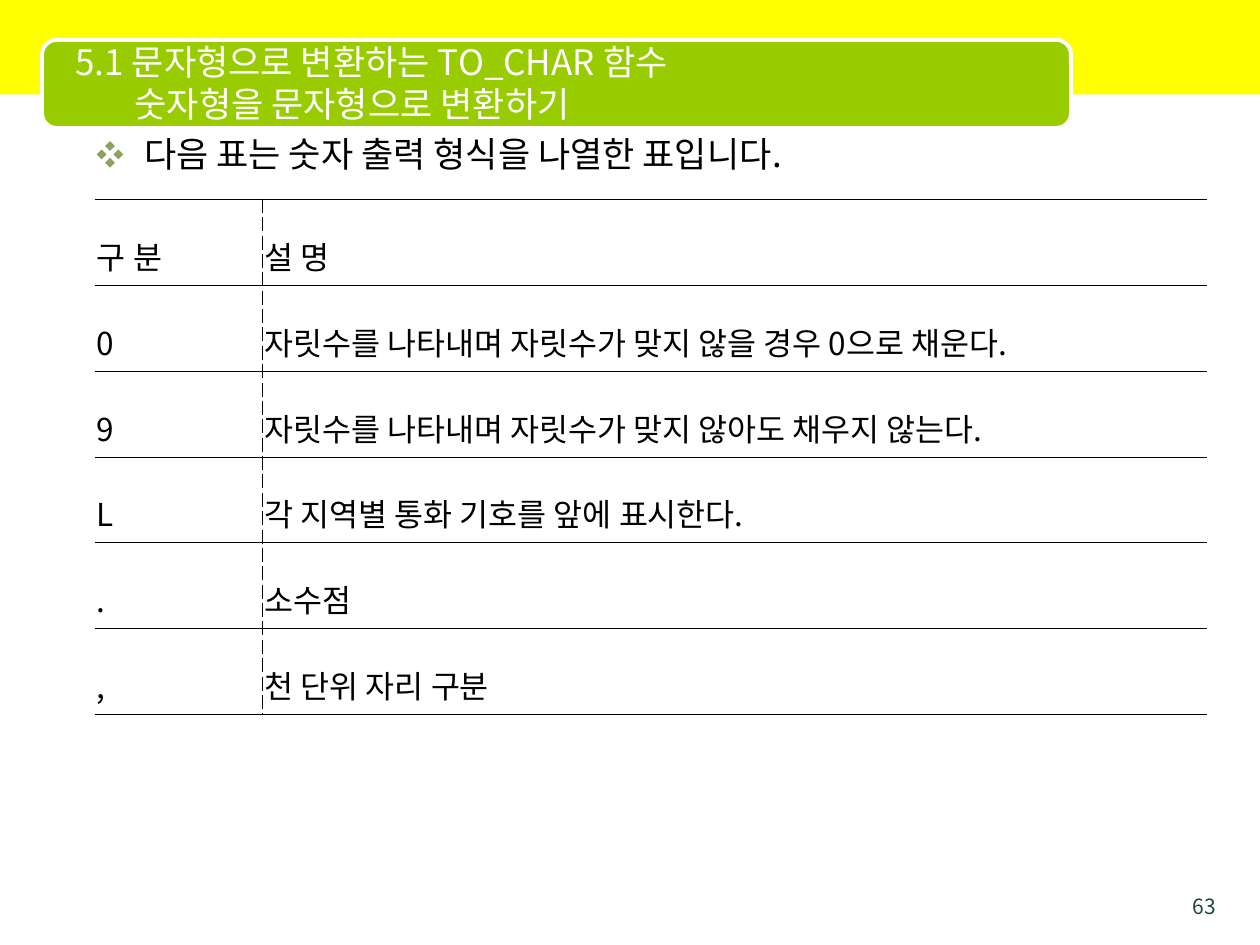
from pptx import Presentation
from pptx.dml.color import RGBColor
from pptx.enum.shapes import MSO_SHAPE
from pptx.enum.text import MSO_ANCHOR, PP_ALIGN
from pptx.oxml.ns import qn
from pptx.util import Inches, Pt
from lxml.etree import SubElement

COLORS = {
    "band": "FFFF00", "card": "99CC00", "white": "FFFFFF",
    "black": "000000", "bullet": "8CA35F", "number": "1D4940",
}
FONT = "Noto Sans CJK KR"
UNITS_PER_INCH = 12
HAIRLINE, DIVIDER, HEADER_RULE = 0.11, 0.28, 0.96

FORMATS = [
    ("구 분", "설 명"),
    ("0", "자릿수를 나타내며 자릿수가 맞지 않을 경우 0으로 채운다."),
    ("9", "자릿수를 나타내며 자릿수가 맞지 않아도 채우지 않는다."),
    ("L", "각 지역별 통화 기호를 앞에 표시한다."),
    (".", "소수점"),
    (",", "천 단위 자리 구분"),
]


def grid(*units):
    """Convert grid units to slide lengths."""
    return [Inches(unit / UNITS_PER_INCH) for unit in units]


def write(paragraph, text, size=20, color="black", align=PP_ALIGN.LEFT,
          spacing=1.0, indent=0, hanging=0, bullet=None):
    """Put formatted text into a paragraph."""
    paragraph.alignment = align
    paragraph.line_spacing = spacing
    properties = paragraph._p.get_or_add_pPr()
    properties.set("marL", str(Inches(indent)))
    properties.set("indent", str(-Inches(hanging)))
    if bullet:
        bullet_color = SubElement(properties, qn("a:buClr"))
        SubElement(bullet_color, qn("a:srgbClr"), val=COLORS["bullet"])
        SubElement(properties, qn("a:buSzPct"), val="80000")
        SubElement(properties, qn("a:buFont"), typeface=FONT)
        SubElement(properties, qn("a:buChar"), char=bullet)
    run = paragraph.add_run()
    run.text = text
    run.font.size = Pt(size)
    run.font.name = FONT
    run.font.color.rgb = RGBColor.from_string(COLORS[color])
    run_properties = run._r.get_or_add_rPr()
    run_properties.set("kern", "0")
    SubElement(run_properties, qn("a:ea"), typeface=FONT)


def set_border(cell, side, width=None, dash="solid"):
    """Draw one cell border, or clear it when no width is given."""
    line = SubElement(cell._tc.get_or_add_tcPr(), qn(f"a:ln{side}"))
    if width is None:
        SubElement(line, qn("a:noFill"))
        return
    line.set("w", str(Pt(width)))
    fill = SubElement(line, qn("a:solidFill"))
    SubElement(fill, qn("a:srgbClr"), val=COLORS["black"])
    SubElement(line, qn("a:prstDash"), val=dash)


class SlideBuilder:
    """Hold the current slide and add styled elements on its grid."""

    def __init__(self, slide):
        self.slide = slide

    def panel(self, kind, box, fill, outline=None):
        """Add a filled preset shape."""
        shape = self.slide.shapes.add_shape(kind, *grid(*box))
        shape.shadow.inherit = False
        shape.fill.solid()
        shape.fill.fore_color.rgb = RGBColor.from_string(COLORS[fill])
        if outline:
            shape.line.color.rgb = RGBColor.from_string(COLORS[outline])
            shape.line.width = Pt(2.25)
        else:
            shape.line.fill.background()

    def text(self, box, lines, anchor=MSO_ANCHOR.TOP, **style):
        """Add a text box with one paragraph per (text, indent) pair."""
        frame = self.slide.shapes.add_textbox(*grid(*box)).text_frame
        frame.word_wrap = True
        frame.vertical_anchor = anchor
        for index, (text, indent) in enumerate(lines):
            paragraph = frame.add_paragraph() if index else frame.paragraphs[0]
            write(paragraph, text, indent=indent, **style)

    def table(self, left, top, columns, row_height, rows):
        """Add a ruled table with a dashed divider between columns."""
        size = (sum(columns), row_height * len(rows))
        table = self.slide.shapes.add_table(
            len(rows), len(columns), *grid(left, top, *size)).table
        table.first_row = table.horz_banding = False
        for column, width in zip(table.columns, grid(*columns)):
            column.width = width
        for row_index, row in enumerate(rows):
            for column_index, text in enumerate(row):
                cell = table.cell(row_index, column_index)
                cell.margin_left = cell.margin_right = Inches(0.02)
                cell.margin_bottom = Inches(0.15)
                cell.vertical_anchor = MSO_ANCHOR.MIDDLE
                write(cell.text_frame.paragraphs[0], text, size=18,
                      align=PP_ALIGN.JUSTIFY, spacing=1.6)
                is_last = column_index == len(columns) - 1
                set_border(cell, "L", DIVIDER if column_index else None, "dash")
                set_border(cell, "R", None if is_last else DIVIDER, "dash")
                set_border(cell, "T", HAIRLINE if row_index else HEADER_RULE)
                set_border(cell, "B", HAIRLINE)
                cell.fill.solid()
                cell.fill.fore_color.rgb = RGBColor.from_string(COLORS["white"])


def main():
    """Build the number format slide."""
    presentation = Presentation()
    presentation.slide_width, presentation.slide_height = Inches(10), Inches(7.5)
    slide = presentation.slides.add_slide(presentation.slide_layouts[6])
    builder = SlideBuilder(slide)
    builder.panel(MSO_SHAPE.RECTANGLE, (0, 0, 120, 9), "band")
    builder.panel(MSO_SHAPE.ROUNDED_RECTANGLE, (4, 3.8, 98, 8.4), "card", "white")
    builder.text((111, 84.5, 6, 2.5), [("63", 0)], size=12, color="number",
                 align=PP_ALIGN.RIGHT)
    builder.text((6, 4.2, 95, 7.4),
                 [("5.1 문자형으로 변환하는 TO_CHAR 함수", 0),
                  ("숫자형을 문자형으로 변환하기", 0.47)],
                 anchor=MSO_ANCHOR.MIDDLE, color="white")
    builder.text((8, 12, 109, 73.7),
                 [("다음 표는 숫자 출력 형식을 나열한 표입니다.", 0.38)],
                 hanging=0.38, bullet="❖")
    builder.table(9, 19, (16, 90), 6.2, FORMATS)
    presentation.save("out.pptx")


if __name__ == "__main__":
    main()
